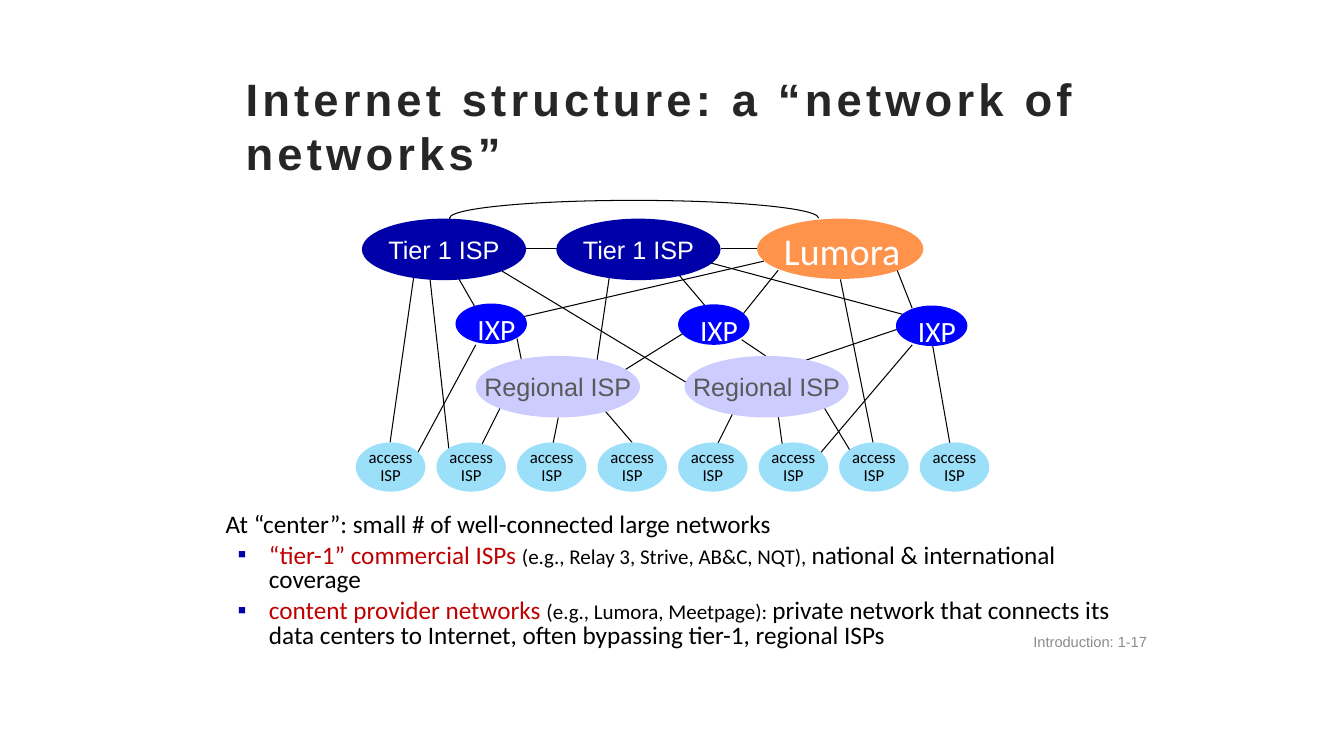
"""Builds a slide on the Internet as a network of networks."""
from lxml import etree
from pptx import Presentation
from pptx import util as u
from pptx.dml.color import RGBColor
from pptx.enum import shapes, text
from pptx.oxml.ns import qn

COLORS = {
    "black": "000000", "white": "FFFFFF", "title": "262626", "navy": "0000A8",
    "blue": "0000FF", "orange": "FF6600", "lavender": "CCCCFF", "sky": "9CDFF9",
    "gray": "595959", "footer": "8C8C8C", "red": "C00000",
}
TITLE = "Internet structure: a “network of networks”"
FOOTER = "Introduction: 1-17"
LEAD = "At “center”: small # of well-connected large networks"
BULLETS = [
    ("“tier-1” commercial ISPs ", "(e.g., Relay 3, Strive, AB&C, NQT), ",
     "national & international coverage"),
    ("content provider networks ", "(e.g., Lumora, Meetpage): ",
     "private network that connects its data centers to Internet, "
     "often bypassing tier-1, regional ISPs"),
]
# kind: label lines, width, height, fill, font, size, font colour, label shift
KINDS = {
    "access": (("access", "ISP"), 1.75, 1.24, "sky", "Calibri", 12, "black", 0),
    "regional": (("Regional ISP",), 4.14, 1.55, "lavender", "Arial", 18, "gray", 0),
    "tier 1": (("Tier 1 ISP",), 4.14, 1.55, "navy", "Arial", 18, "white", 0),
    "content": (("Lumora",), 4.19, 1.52, "orange", "Calibri", 27, "white", 0.05),
    "exchange": (("IXP",), 1.8, 1.02, "blue", "Calibri", 21, "white", 0.13),
}
ACCESS_COUNT, ACCESS_LEFT, ACCESS_TOP, ACCESS_PITCH = 8, 8.97, 11.15, 2.03
NODES = [
    ("regional", 11.99, 8.97), ("regional", 17.25, 8.97),
    ("tier 1", 9.12, 5.51), ("tier 1", 14.02, 5.51), ("content", 19.08, 5.51),
    ("exchange", 11.48, 7.65), ("exchange", 17.09, 7.67), ("exchange", 22.58, 7.7),
]
LINKS = [
    (10.49, 6.53, 9.83, 11.15), (14.07, 10.52, 13.87, 11.51),
    (12.6, 10.29, 11.99, 11.51), (10.82, 6.88, 11.35, 11.66),
    (11.99, 8.69, 10.39, 11.66), (15.04, 10.11, 15.93, 11.15),
    (18.52, 10.31, 17.91, 11.53), (19.61, 10.46, 19.76, 11.53),
    (20.78, 10.29, 21.62, 11.68), (21.18, 7.04, 22, 11.15),
    (23.5, 8.69, 24, 11.53), (22.99, 8.69, 20.45, 11.68),
    (13.03, 8.53, 13.18, 9.27), (15.37, 6.88, 15.04, 9.12),
    (17.25, 8.38, 15.54, 9.45), (12.65, 6.83, 17.4, 9.7),
    (22.81, 8.23, 20.12, 9.14), (18.69, 8.56, 19.3, 8.97),
    (19.25, 6.58, 12.67, 8.1), (22.61, 6.81, 22.99, 7.77),
    (19.61, 6.81, 18.59, 8.08), (14.3, 6.25, 13.18, 6.25),
    (19.08, 6.27, 18.16, 6.27), (11.48, 6.88, 11.99, 7.77),
    (17.07, 6.88, 17.91, 7.87), (17.81, 6.6, 22.86, 7.95),
]


def color(name):
    return RGBColor.from_string(COLORS[name])


def style(font, name, size, tint, bold=False):
    font.name, font.size, font.bold = name, u.Pt(size), bold
    font.color.rgb = color(tint)


def stroke(line):
    line.color.rgb = color("black")
    line.width = u.Pt(0.75)


def add_text(page, place, anchor):
    frame = page.shapes.add_textbox(*map(u.Cm, place)).text_frame
    frame.word_wrap = True
    frame.vertical_anchor = anchor
    return frame


def add_link(page, ends):
    link = page.shapes.add_connector(shapes.MSO_CONNECTOR.STRAIGHT, *map(u.Cm, ends))
    stroke(link.line)
    etree.SubElement(link._element.spPr, qn("a:effectLst"))


def add_arc(page):
    arc = page.shapes.add_shape(shapes.MSO_SHAPE.ARC, *map(u.Cm, (11.33, 5.05, 9.3, 0.89)))
    arc.adjustments[0], arc.adjustments[1] = 106.82, 0
    arc.shadow.inherit = False
    arc.fill.background()
    stroke(arc.line)


def add_node(page, kind, left, top):
    labels, width, height, fill, font, size, tint, shift = KINDS[kind]
    node = page.shapes.add_shape(
        shapes.MSO_SHAPE.OVAL, *map(u.Cm, (left, top, width, height)))
    node.shadow.inherit = False
    node.fill.solid()
    node.fill.fore_color.rgb = color(fill)
    node.line.fill.background()
    if kind == "content":
        tone = node._element.spPr.find(".//" + qn("a:srgbClr"))
        etree.SubElement(tone, qn("a:alpha"), val="70000")
    frame = node.text_frame
    frame.word_wrap = False
    frame.vertical_anchor = text.MSO_ANCHOR.MIDDLE
    frame.margin_left = frame.margin_top = u.Cm(2 * shift)
    frame.margin_right = frame.margin_bottom = 0
    frame.text = "\n".join(labels)
    for para in frame.paragraphs:
        para.alignment = text.PP_ALIGN.CENTER
        para.line_spacing = 0.9 if len(labels) > 1 else 1.0
        style(para.font, font, size, tint)


def add_bullet(para):
    props = para._p.get_or_add_pPr()
    props.set("marL", str(u.Cm(1.27)))
    props.set("indent", str(u.Cm(-0.79)))
    tint = etree.SubElement(props, qn("a:buClr"))
    etree.SubElement(tint, qn("a:srgbClr"), val=COLORS["navy"])
    etree.SubElement(props, qn("a:buFont"), typeface="Arial")
    etree.SubElement(props, qn("a:buChar"), char="▪")


def add_body(page):
    frame = add_text(page, (5.33, 12.85, 23.5, 3.81), text.MSO_ANCHOR.TOP)
    frame.margin_left = frame.margin_right = u.Cm(0.18)
    frame.margin_top = frame.margin_bottom = u.Cm(0.1)
    lead = frame.paragraphs[0]
    lead.text = LEAD
    lead.line_spacing, lead.space_before = 0.8, u.Pt(10)
    lead._p.get_or_add_pPr().set("marL", str(u.Cm(0.18)))
    style(lead.font, "Calibri", 18, "black")
    for parts in BULLETS:
        para = frame.add_paragraph()
        para.level = 1
        para.line_spacing, para.space_before = 0.8, u.Pt(5)
        add_bullet(para)
        for part, size, tint in zip(parts, (18, 15, 18), ("red", "black", "black")):
            span = para.add_run()
            span.text = part
            style(span.font, "Calibri", size, tint)


def main():
    deck = Presentation()
    deck.slide_width, deck.slide_height = u.Cm(33.87), u.Cm(19.05)
    page = deck.slides.add_slide(deck.slide_layouts[6])

    title = add_text(page, (5.94, 2.24, 21.89, 1.85), text.MSO_ANCHOR.MIDDLE).paragraphs[0]
    title.text = TITLE
    style(title.font, "Arial", 32.4, "title", bold=True)
    title.runs[0].font._element.set("spc", "300")

    for ends in LINKS:
        add_link(page, ends)
    add_arc(page)
    for index in range(ACCESS_COUNT):
        add_node(page, "access", ACCESS_LEFT + index * ACCESS_PITCH, ACCESS_TOP)
    for node in NODES:
        add_node(page, *node)
    add_body(page)

    footer = add_text(page, (23.44, 15.8, 5.72, 0.76), text.MSO_ANCHOR.MIDDLE).paragraphs[0]
    footer.text = FOOTER
    footer.alignment = text.PP_ALIGN.RIGHT
    style(footer.font, "Arial", 10.5, "footer")
    deck.save("out.pptx")


if __name__ == "__main__":
    main()
